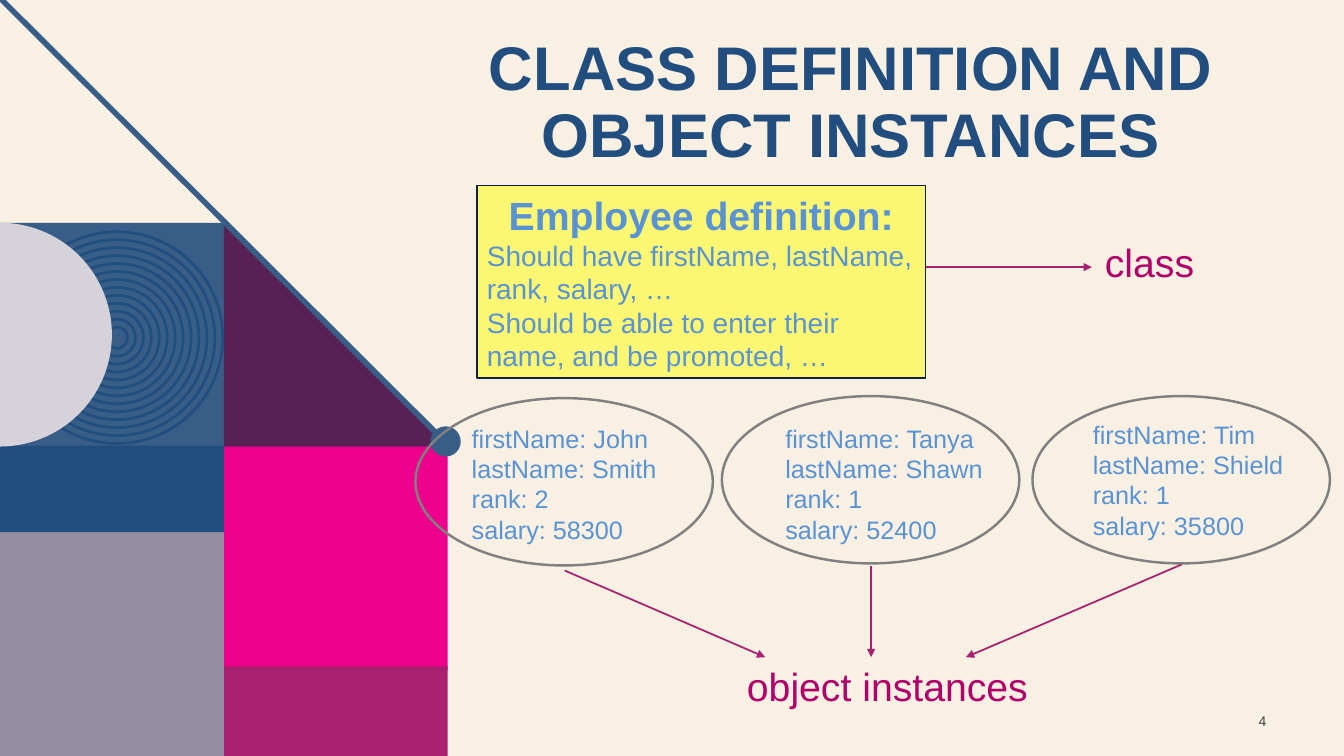
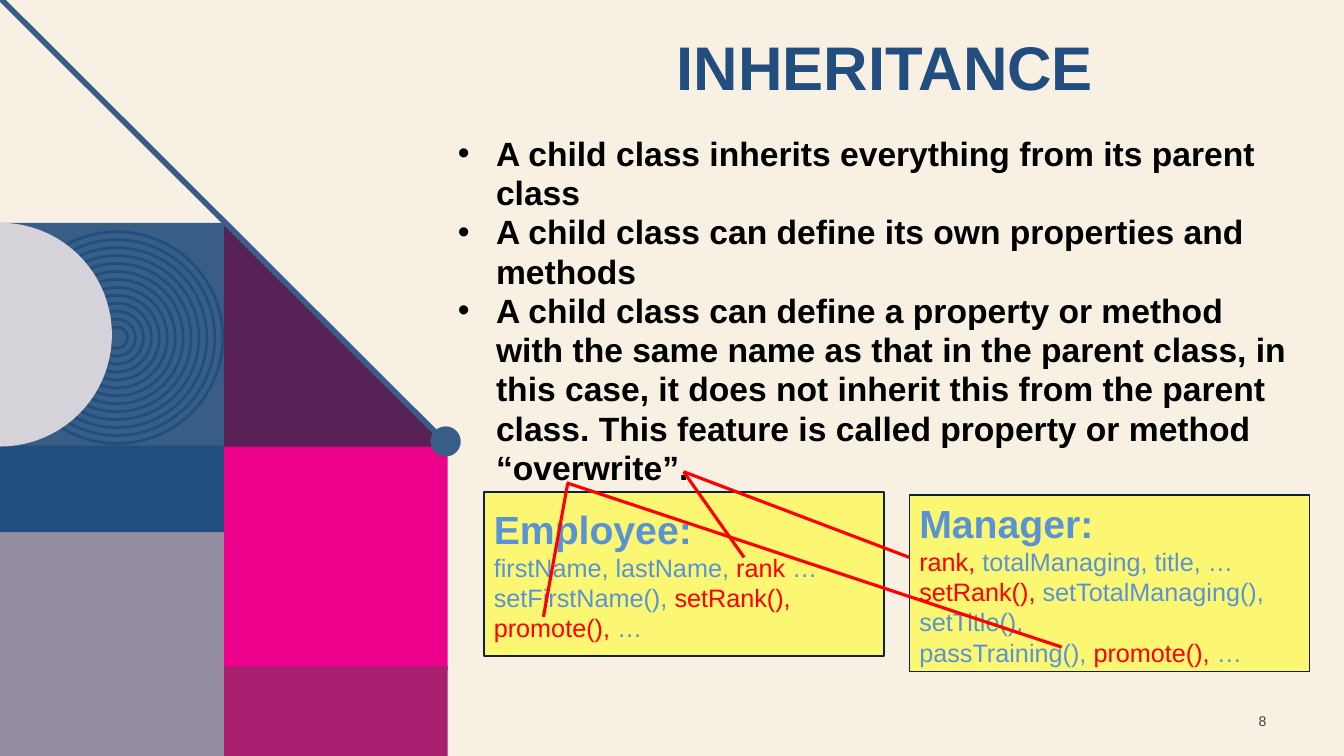
"""Builds two slides on classes, object instances and inheritance."""
from math import cos, pi, sin

from pptx import Presentation
from pptx.dml.color import RGBColor
from pptx.enum.shapes import MSO_CONNECTOR, MSO_SHAPE as SHAPE
from pptx.enum.text import MSO_ANCHOR as ANCHOR, MSO_AUTO_SIZE as FIT, PP_ALIGN as ALIGN
from pptx.oxml.ns import qn
from pptx.util import Emu, Pt
from lxml.etree import SubElement

CREAM = RGBColor(0xF8, 0xF0, 0xE3)
NAVY = RGBColor(0x22, 0x4E, 0x7F)
STEEL = RGBColor(0x38, 0x5E, 0x88)
PLUM = RGBColor(0x58, 0x21, 0x56)
PINK = RGBColor(0xEC, 0x00, 0x8C)
BERRY = RGBColor(0xAA, 0x20, 0x70)
MAGENTA = RGBColor(0xB1, 0x00, 0x69)
MAUVE = RGBColor(0x95, 0x8E, 0xA2)
MIST = RGBColor(0xD5, 0xD2, 0xDA)
SKY = RGBColor(0x5A, 0x93, 0xD3)
YELLOW = RGBColor(0xFF, 0xFF, 0x00)
INK = RGBColor(0x0F, 0x22, 0x38)
GREY = RGBColor(0x80, 0x80, 0x80)
CHARCOAL = RGBColor(0x40, 0x40, 0x40)
BLACK = RGBColor(0, 0, 0)
RED = RGBColor(0xFF, 0, 0)

FONT = "Arial"
EMU_PER_PX = 9144
RING_COUNT = 13
ARC_STEPS = 60

INSTANCES = [
    ((412, 395), (458, 415), ("John", "Smith", 2, 58300)),
    ((716, 393), (769, 415), ("Tanya", "Shawn", 1, 52400)),
    ((1024, 393), (1074, 411), ("Tim", "Shield", 1, 35800)),
]
INSTANCE_ARROWS = [
    ((1172, 560), (958, 652)),
    ((864, 562), (864, 652)),
    ((560, 566), (759, 652)),
]
OVERWRITE_LINES = [
    ((563, 480), (539, 612)),
    ((678, 468), (902, 553)),
    ((678, 468), (738, 553)),
    ((562, 479), (1053, 642)),
]
INHERITANCE_RULES = [
    "A child class inherits everything from its parent class",
    "A child class can define its own properties and methods",
    "A child class can define a property or method with the same name as that in the "
    "parent class, in this case, it does not inherit this from the parent class. "
    "This feature is called property or method “overwrite”.",
]
EMPLOYEE_MEMBERS = [
    [("firstName, lastName, ", SKY), ("rank", RED), (" …", SKY)],
    [("setFirstName(), ", SKY), ("setRank(), promote(), ", RED), ("…", SKY)],
]
MANAGER_MEMBERS = [
    [("rank, ", RED), ("totalManaging, title, …", SKY)],
    [("setRank(), ", RED), ("setTotalManaging(), setTitle(),", SKY)],
    [("passTraining(), ", SKY), ("promote(), ", RED), ("…", SKY)],
]


def px(*lengths):
    """Turn pixel lengths into EMU."""
    return [Emu(round(length * EMU_PER_PX)) for length in lengths]


def write(frame, *paragraphs, size=18, colour=SKY, bold=False, align=ALIGN.LEFT,
          line_spacing=None, anchor=ANCHOR.TOP):
    """Add paragraphs, each a string or a list of (text, colour) runs."""
    frame.word_wrap = True
    frame.auto_size = FIT.NONE
    frame.vertical_anchor = anchor
    for content in paragraphs:
        paragraph = frame.add_paragraph() if frame.text else frame.paragraphs[0]
        paragraph.alignment = align
        paragraph.space_before = Pt(0)
        if line_spacing:
            paragraph.line_spacing = line_spacing
        runs = [(content, colour)] if isinstance(content, str) else content
        for words, run_colour in runs:
            run = paragraph.add_run()
            run.text = words
            run.font.name = FONT
            run.font.size = Pt(size)
            run.font.bold = bold
            run.font.color.rgb = run_colour


def paint(shape, fill=None, line=None, width=1):
    """Give a shape its fill and outline, without a shadow."""
    shape.shadow.inherit = False
    if fill is None:
        shape.fill.background()
    else:
        shape.fill.solid()
        shape.fill.fore_color.rgb = fill
    if line is None:
        shape.line.fill.background()
    else:
        shape.line.color.rgb = line
        shape.line.width = Pt(width)
    return shape


def add_preset(shapes, preset, box, **style):
    """Add a painted preset shape."""
    return paint(shapes.add_shape(preset, *px(*box)), **style)


def add_outline(shapes, points, fill):
    """Add a closed, filled polygon."""
    start, *rest = [px(*point) for point in points]
    builder = shapes.build_freeform(*start)
    builder.add_line_segments(rest, close=True)
    paint(builder.convert_to_shape(), fill=fill)


def add_line(shapes, start, end, colour, width, arrow=False):
    """Add a straight line, with an arrowhead at its end if wanted."""
    connector = shapes.add_connector(MSO_CONNECTOR.STRAIGHT, *px(*start, *end))
    connector.line.color.rgb = colour
    connector.line.width = Pt(width)
    if arrow:
        SubElement(connector.line._get_or_add_ln(), qn("a:tailEnd"), type="triangle")
    SubElement(connector.element.spPr, qn("a:effectLst"))


def add_label(shapes, box, *paragraphs, **style):
    """Add a text box."""
    write(shapes.add_textbox(*px(*box)).text_frame, *paragraphs, **style)


def add_class_card(shapes, box, heading, members, size, heading_align=ALIGN.LEFT):
    """Add a translucent yellow box with a heading and class members."""
    card = add_preset(shapes, SHAPE.RECTANGLE, box, fill=YELLOW, line=INK)
    for tint in card.element.spPr.xpath("./a:solidFill/a:srgbClr"):
        SubElement(tint, qn("a:alpha"), val="49000")
    frame = card.text_frame
    write(frame, heading, size=28, bold=True, align=heading_align, anchor=ANCHOR.MIDDLE)
    write(frame, *members, size=size, anchor=ANCHOR.MIDDLE)


def place(placeholder, box):
    """Move a placeholder and return its text frame."""
    placeholder.left, placeholder.top, placeholder.width, placeholder.height = px(*box)
    return placeholder.text_frame


def draw_artwork(shapes):
    """Draw the geometric artwork at the left."""
    add_preset(shapes, SHAPE.RECTANGLE, (0, 221, 222, 222), fill=STEEL)
    add_outline(shapes, [(222, 222), (444, 444), (222, 444)], PLUM)
    for box, colour in [((222, 443, 222, 222), PINK), ((222, 661, 222, 89), BERRY),
                        ((0, 528, 222, 222), MAUVE)]:
        add_preset(shapes, SHAPE.RECTANGLE, box, fill=colour)
    rings = shapes.add_group_shape().shapes
    for index in range(RING_COUNT):
        radius = 105 - index * 63 / 8
        add_preset(rings, SHAPE.OVAL, (116 - radius, 335 - radius, 2 * radius, 2 * radius),
                   line=NAVY, width=2)
    add_preset(shapes, SHAPE.RECTANGLE, (0, 442, 222, 86), fill=NAVY)
    angles = [pi * step / ARC_STEPS - pi / 2 for step in range(ARC_STEPS + 1)]
    add_outline(shapes, [(111 * cos(a), 332 + 111 * sin(a)) for a in angles], MIST)
    add_line(shapes, (1, -1), (444, 441), STEEL, 4)
    add_preset(shapes, SHAPE.OVAL, (427, 423, 30, 30), fill=STEEL)


def set_up_master(prs, slide):
    """Put the background and artwork on the slide master."""
    master = prs.slide_master
    master.background.fill.solid()
    master.background.fill.fore_color.rgb = CREAM
    first = len(slide.shapes)
    draw_artwork(slide.shapes)
    for art in list(slide.shapes)[first:]:
        for properties in art.element.xpath(".//p:cNvPr"):
            properties.set("id", str(int(properties.get("id")) + 100))
        master.shapes.element.append(art.element)


def add_title_and_number(slide, title, title_box, number):
    """Fill the title and add the slide number."""
    write(place(slide.shapes.title, title_box), title, size=44, colour=NAVY, bold=True,
          align=ALIGN.CENTER, line_spacing=0.9)
    add_label(slide.shapes, (1216, 695, 50, 40), number, size=10, colour=CHARCOAL,
              align=ALIGN.RIGHT, anchor=ANCHOR.MIDDLE)


def build_class_slide(slide):
    """Show a class definition and three object instances."""
    shapes = slide.shapes
    add_title_and_number(slide, "CLASS DEFINITION AND OBJECT INSTANCES",
                         (396, 32, 896, 145), "4")
    add_line(shapes, (918, 265), (1083, 265), BERRY, 1.25, arrow=True)
    add_label(shapes, (1086, 232, 171, 57), "class", size=28, colour=MAGENTA)
    add_class_card(shapes, (473, 184, 445, 191), "Employee definition:",
                   ["Should have firstName, lastName, rank, salary, …",
                    "Should be able to enter their name, and be promoted, …"],
                   size=20, heading_align=ALIGN.CENTER)
    for oval_corner, text_corner, (first, last, rank, salary) in INSTANCES:
        add_preset(shapes, SHAPE.OVAL, (*oval_corner, 295, 166), line=GREY, width=1.75)
        add_label(shapes, (*text_corner, 255, 131), f"firstName: {first}",
                  f"lastName: {last}", f"rank: {rank}", f"salary: {salary}")
    for start, end in INSTANCE_ARROWS:
        add_line(shapes, start, end, BERRY, 1.25, arrow=True)
    add_label(shapes, (731, 652, 331, 57), "object instances", size=28, colour=MAGENTA)


def build_inheritance_slide(slide):
    """Show the rules of inheritance and an example of overwriting."""
    shapes = slide.shapes
    add_title_and_number(slide, "INHERITANCE", (464, 32, 828, 145), "8")
    rules = place(slide.placeholders[1], (444, 128, 848, 441))
    write(rules, *INHERITANCE_RULES, size=24, colour=BLACK, bold=True, line_spacing=Pt(28))
    indent, = px(38)
    for paragraph in rules.paragraphs:
        properties = paragraph._p.get_or_add_pPr()
        properties.set("marL", str(indent))
        properties.set("indent", str(-indent))
        SubElement(properties, qn("a:buChar"), char="•")
    add_class_card(shapes, (480, 488, 397, 163), "Employee:", EMPLOYEE_MEMBERS, size=18)
    add_class_card(shapes, (902, 491, 397, 175), "Manager:", MANAGER_MEMBERS, size=18)
    for start, end in OVERWRITE_LINES:
        add_line(shapes, start, end, RED, 2.25)


def main():
    """Build and save the presentation."""
    prs = Presentation()
    prs.slide_width, prs.slide_height = px(1333, 750)
    class_slide = prs.slides.add_slide(prs.slide_layouts[5])
    set_up_master(prs, class_slide)
    build_class_slide(class_slide)
    build_inheritance_slide(prs.slides.add_slide(prs.slide_layouts[1]))
    prs.save("out.pptx")


if __name__ == "__main__":
    main()
